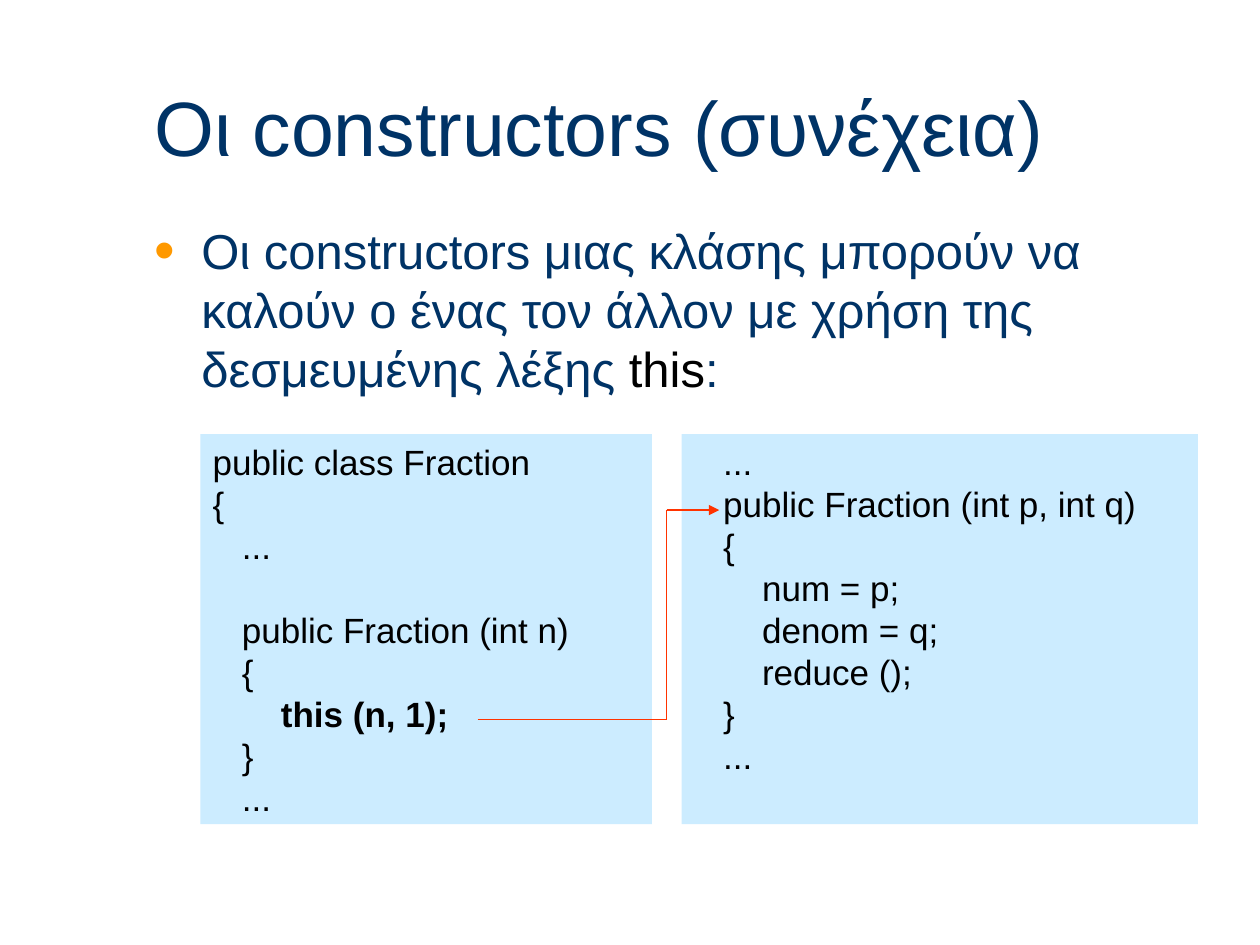
"""Build the slide about constructors that call one another through this."""
from itertools import pairwise

from lxml import etree
from pptx import Presentation
from pptx.dml.color import RGBColor
from pptx.enum.shapes import MSO_CONNECTOR, MSO_SHAPE
from pptx.enum.text import MSO_ANCHOR, PP_ALIGN
from pptx.oxml.ns import qn
from pptx.util import Pt

RECTANGLE = MSO_SHAPE.RECTANGLE
STRAIGHT = MSO_CONNECTOR.STRAIGHT
TOP, MIDDLE = MSO_ANCHOR.TOP, MSO_ANCHOR.MIDDLE
LEFT = PP_ALIGN.LEFT

THEME = {
    "font": "Arial",
    "text": "003366",
    "code": "000000",
    "panel": "CCECFF",
    "bullet": "FF9900",
    "arrow": "FF3300",
    "title_size": 44,
    "body_size": 28,
    "code_size": 20,
    "arrow_width": 0.75,
}

TITLE = "Οι constructors (συνέχεια)"
BODY = [
    ("Οι constructors μιας κλάσης μπορούν να καλούν ο ένας τον άλλον "
     "με χρήση της δεσμευμένης λέξης ", "text"),
    ("this", "code"),
    (":", "text"),
]
CALLED_CODE = [
    "   ...",
    "   public Fraction (int p, int q)",
    "   {",
    "       num = p;",
    "       denom = q;",
    "       reduce ();",
    "   }",
    "   ...",
]
CALLING_CODE = [
    "public class Fraction",
    "{",
    "   ...",
    "",
    "   public Fraction (int n)",
    "   {",
    "       this (n, 1);",
    "   }",
    "   ...",
]
BOLD_CODE = "this (n, 1);"

TITLE_BOX = (81, 38, 612, 68)
BODY_BOX = (81, 122.5, 612, 378)
PANEL_TOP, PANEL_HEIGHT = 248, 223
PANELS = [(389.5, 295, CALLED_CODE), (114.5, 258, CALLING_CODE)]
CALL_ROUTE = [(273, 411), (381, 411), (381, 291.5), (411, 291.5)]
BULLET_INDENT = 27


def color(name):
    return RGBColor.from_string(THEME[name])


def add_run(paragraph, text, size, color_name, bold=False):
    run = paragraph.add_run()
    run.text = text
    run.font.name = THEME["font"]
    run.font.size = Pt(THEME[size])
    run.font.color.rgb = color(color_name)
    run.font.bold = bold


def prepare_frame(shape, anchor):
    frame = shape.text_frame
    frame.word_wrap = True
    frame.vertical_anchor = anchor
    return frame


def add_title(slide):
    title = slide.shapes.title
    title.left, title.top, title.width, title.height = map(Pt, TITLE_BOX)
    paragraph = prepare_frame(title, MIDDLE).paragraphs[0]
    paragraph.alignment = LEFT
    add_run(paragraph, TITLE, "title_size", "text")


def add_bullet(paragraph):
    properties = paragraph._p.get_or_add_pPr()
    properties.set("marL", str(Pt(BULLET_INDENT)))
    properties.set("indent", str(-Pt(BULLET_INDENT)))
    bullet_color = etree.SubElement(properties, qn("a:buClr"))
    etree.SubElement(bullet_color, qn("a:srgbClr"), val=THEME["bullet"])
    etree.SubElement(properties, qn("a:buSzPct"), val="120000")
    etree.SubElement(properties, qn("a:buFont"), typeface=THEME["font"])
    etree.SubElement(properties, qn("a:buChar"), char="•")


def add_body(slide):
    body = slide.shapes.add_textbox(*map(Pt, BODY_BOX))
    paragraph = prepare_frame(body, TOP).paragraphs[0]
    add_bullet(paragraph)
    for text, color_name in BODY:
        add_run(paragraph, text, "body_size", color_name)


def add_code_panel(slide, left, width, lines):
    panel = slide.shapes.add_shape(
        RECTANGLE, Pt(left), Pt(PANEL_TOP), Pt(width), Pt(PANEL_HEIGHT))
    panel.shadow.inherit = False
    panel.fill.solid()
    panel.fill.fore_color.rgb = color("panel")
    panel.line.fill.background()
    frame = prepare_frame(panel, TOP)
    for index, line in enumerate(lines):
        paragraph = frame.add_paragraph() if index else frame.paragraphs[0]
        paragraph.alignment = LEFT
        paragraph.font.size = Pt(THEME["code_size"])
        plain, bold, _ = line.partition(BOLD_CODE)
        for text, is_bold in ((plain, False), (bold, True)):
            if text:
                add_run(paragraph, text, "code_size", "code", is_bold)


def add_call_arrow(slide):
    for start, end in pairwise(CALL_ROUTE):
        connector = slide.shapes.add_connector(STRAIGHT, *map(Pt, start + end))
        connector.line.color.rgb = color("arrow")
        connector.line.width = Pt(THEME["arrow_width"])
        etree.SubElement(connector._element.spPr, qn("a:effectLst"))
    etree.SubElement(connector.line._get_or_add_ln(), qn("a:tailEnd"), type="triangle")


def main():
    presentation = Presentation()
    presentation.slide_width, presentation.slide_height = Pt(720), Pt(540)
    slide = presentation.slides.add_slide(presentation.slide_layouts[5])
    add_title(slide)
    add_body(slide)
    for left, width, lines in PANELS:
        add_code_panel(slide, left, width, lines)
    add_call_arrow(slide)
    presentation.save("out.pptx")


if __name__ == "__main__":
    main()
